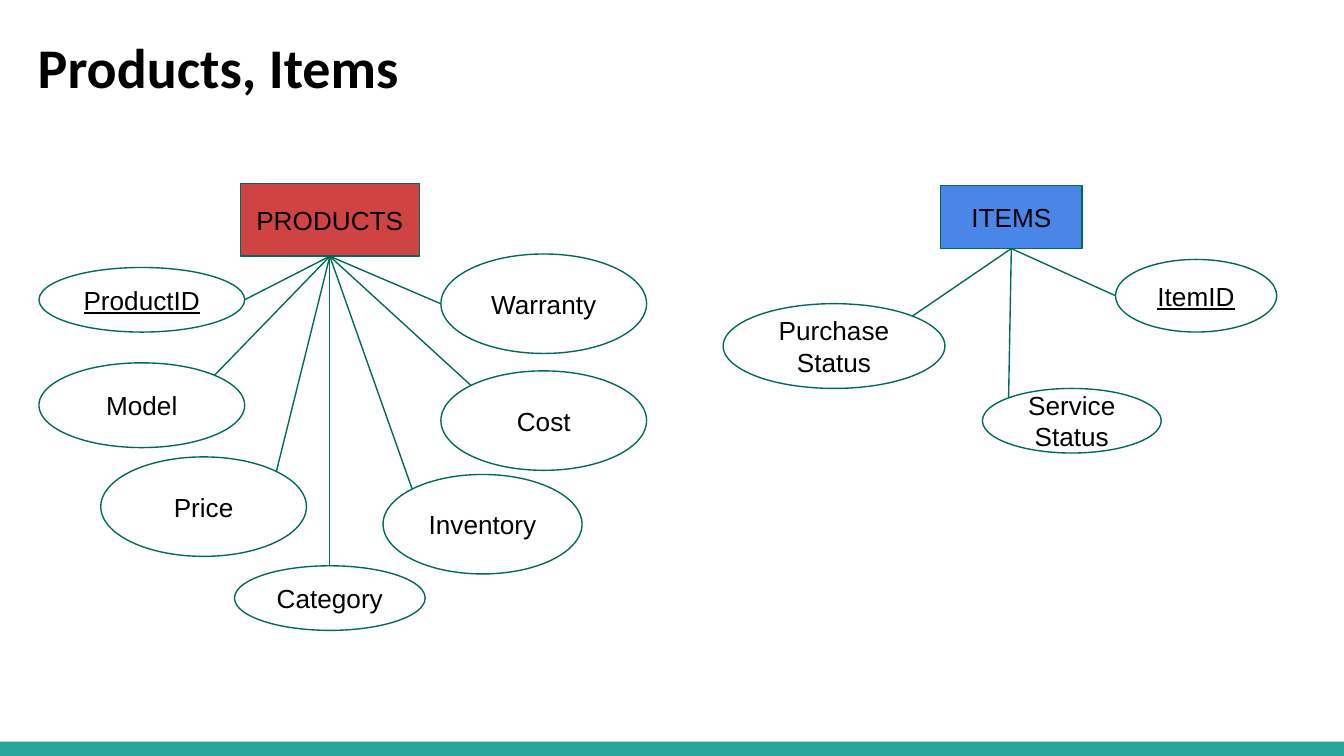
from math import cos, radians, sin

from lxml.etree import SubElement
from pptx import Presentation
from pptx.dml.color import RGBColor
from pptx.enum.shapes import MSO_CONNECTOR, MSO_SHAPE
from pptx.enum.text import MSO_ANCHOR, MSO_AUTO_SIZE, PP_ALIGN
from pptx.oxml.ns import qn
from pptx.util import Pt

BLACK = RGBColor(0x00, 0x00, 0x00)
WHITE = RGBColor(0xFF, 0xFF, 0xFF)
TEAL = RGBColor(0x26, 0xA6, 0x9A)
DARK_TEAL = RGBColor(0x00, 0x69, 0x5C)
RED = RGBColor(0xCF, 0x43, 0x43)
BLUE = RGBColor(0x4A, 0x86, 0xE8)

WIDTH, HEIGHT = 720, 405
# Where a line meets an ellipse: degrees counter-clockwise from the right
RIGHT, TOP_RIGHT, TOP, TOP_LEFT, LEFT = 0, 45, 90, 135, 180

# Attributes: text, left, top, width, height, meeting angle, is key
PRODUCT_ATTRIBUTES = [
    ("ProductID", 20.9, 143.3, 110.2, 34.6, RIGHT, True),
    ("Model", 20.9, 194.4, 110.2, 45.4, TOP_RIGHT, False),
    ("Price", 54, 244.8, 110.2, 53.3, TOP_RIGHT, False),
    ("Category", 125.6, 303.1, 102.2, 34.6, TOP, False),
    ("Inventory", 205.2, 254.2, 106.6, 53.3, TOP_LEFT, False),
    ("Cost", 236.2, 198.7, 110.2, 53.3, TOP_LEFT, False),
    ("Warranty", 236.2, 136.1, 110.2, 53.3, LEFT, False),
]
ITEM_ATTRIBUTES = [
    ("Purchase\nStatus", 387.4, 162.7, 118.8, 45.4, TOP_RIGHT, False),
    ("Service Status", 526.3, 208.1, 95.8, 34.6, TOP_LEFT, False),
    ("ItemID", 597.6, 139, 86.4, 38.9, LEFT, True),
]


class EntityDiagram:
    """Draws entities and their attributes on one page, in points."""

    inset = Pt(7.2)
    line_width = Pt(0.75)

    def __init__(self, page):
        self.page = page

    def set_insets(self, frame):
        frame.margin_left = frame.margin_right = self.inset
        frame.margin_top = frame.margin_bottom = self.inset

    def title(self, text, left, top, width, height):
        box = self.page.shapes.title
        box.left, box.top = Pt(left), Pt(top)
        box.width, box.height = Pt(width), Pt(height)
        frame = box.text_frame
        frame.text = text
        frame.auto_size = MSO_AUTO_SIZE.NONE
        frame.vertical_anchor = MSO_ANCHOR.TOP
        self.set_insets(frame)
        para = frame.paragraphs[0]
        para.alignment = PP_ALIGN.LEFT
        para.line_spacing = 0.8
        para.font.name, para.font.size = "Calibri", Pt(30)
        para.font.bold = True
        para.font.color.rgb = BLACK

    def shape(self, kind, bounds, fill):
        shape = self.page.shapes.add_shape(kind, *map(Pt, bounds))
        shape.shadow.inherit = False
        shape.fill.solid()
        shape.fill.fore_color.rgb = fill
        return shape

    def bar(self, *bounds):
        self.shape(MSO_SHAPE.RECTANGLE, bounds, TEAL).line.fill.background()

    def node(self, kind, text, bounds, fill, underline=False):
        node = self.shape(kind, bounds, fill)
        node.line.color.rgb = DARK_TEAL
        node.line.width = self.line_width
        frame = node.text_frame
        frame.text = text
        frame.word_wrap = True
        frame.vertical_anchor = MSO_ANCHOR.MIDDLE
        self.set_insets(frame)
        for para in frame.paragraphs:
            para.alignment = PP_ALIGN.CENTER
            para.font.name, para.font.size = "Arial", Pt(14)
            para.font.color.rgb = BLACK
            if underline:
                para.font.underline = True

    def link(self, start, end):
        link = self.page.shapes.add_connector(
            MSO_CONNECTOR.STRAIGHT, *map(Pt, (*start, *end)))
        link.line.color.rgb = DARK_TEAL
        link.line.width = self.line_width
        SubElement(link._element.spPr, qn("a:effectLst"))

    def entity(self, text, bounds, fill, attributes):
        """Draw an entity, its attributes and the lines that join them."""
        left, top, width, height = bounds
        hub = (left + width / 2, top + height)
        self.node(MSO_SHAPE.RECTANGLE, text, bounds, fill)
        for name, *place, angle, is_key in attributes:
            self.node(MSO_SHAPE.OVAL, name, place, WHITE, is_key)
            self.link(hub, ellipse_point(*place, radians(angle)))


def ellipse_point(left, top, width, height, angle):
    return (left + width / 2 * (1 + cos(angle)),
            top + height / 2 * (1 - sin(angle)))


def main():
    deck = Presentation()
    deck.slide_width, deck.slide_height = Pt(WIDTH), Pt(HEIGHT)
    title_only = deck.slide_layouts.get_by_name("Title Only")
    diagram = EntityDiagram(deck.slides.add_slide(title_only))
    diagram.bar(0, HEIGHT - 7.6, WIDTH, 7.6)
    diagram.title("Products, Items", 13, 17.3, 671, 45.4)
    diagram.entity("PRODUCTS", (128.7, 98.4, 96, 38.9), RED, PRODUCT_ATTRIBUTES)
    diagram.entity("ITEMS", (504, 99.2, 75.6, 34), BLUE, ITEM_ATTRIBUTES)
    deck.save("out.pptx")


if __name__ == "__main__":
    main()
